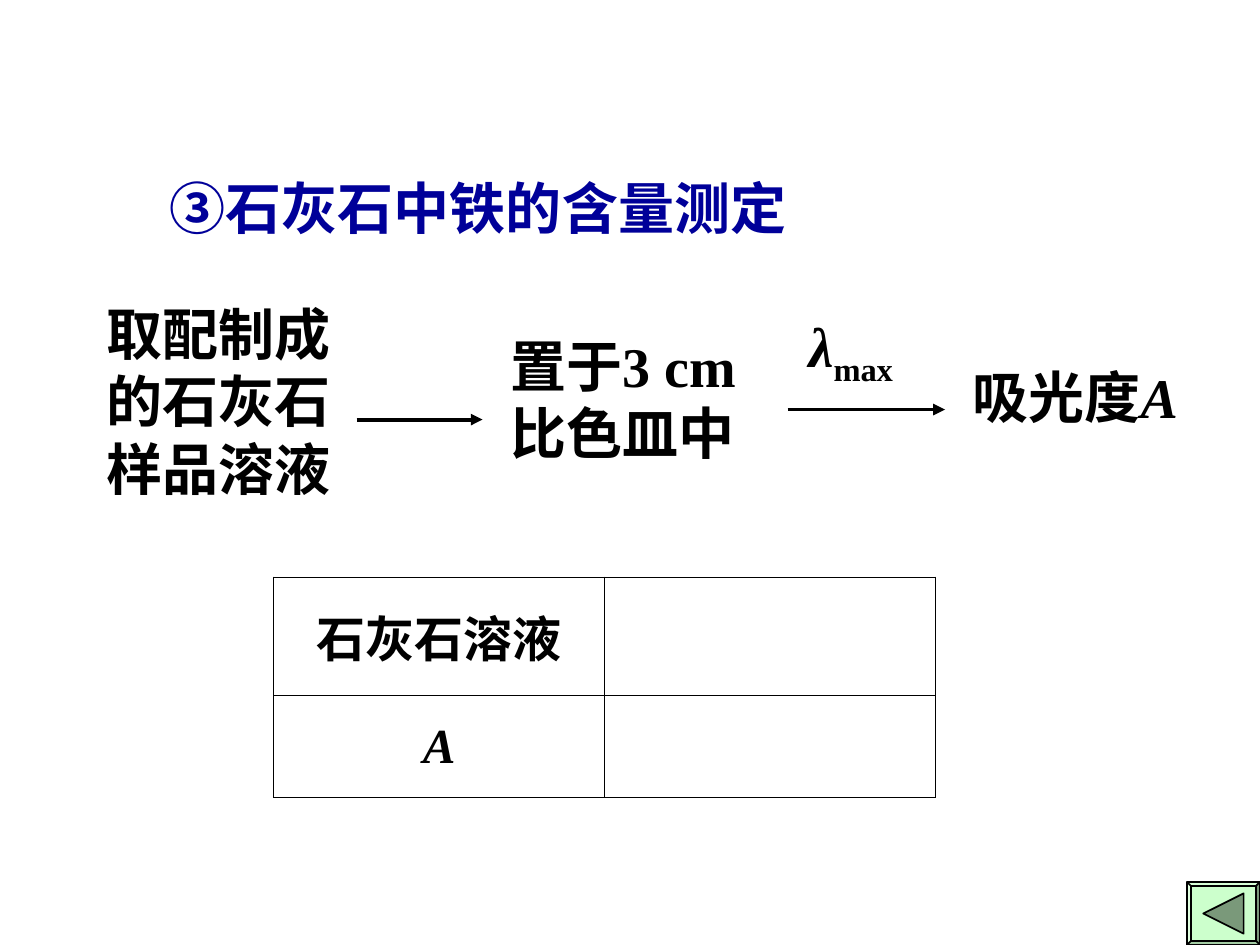
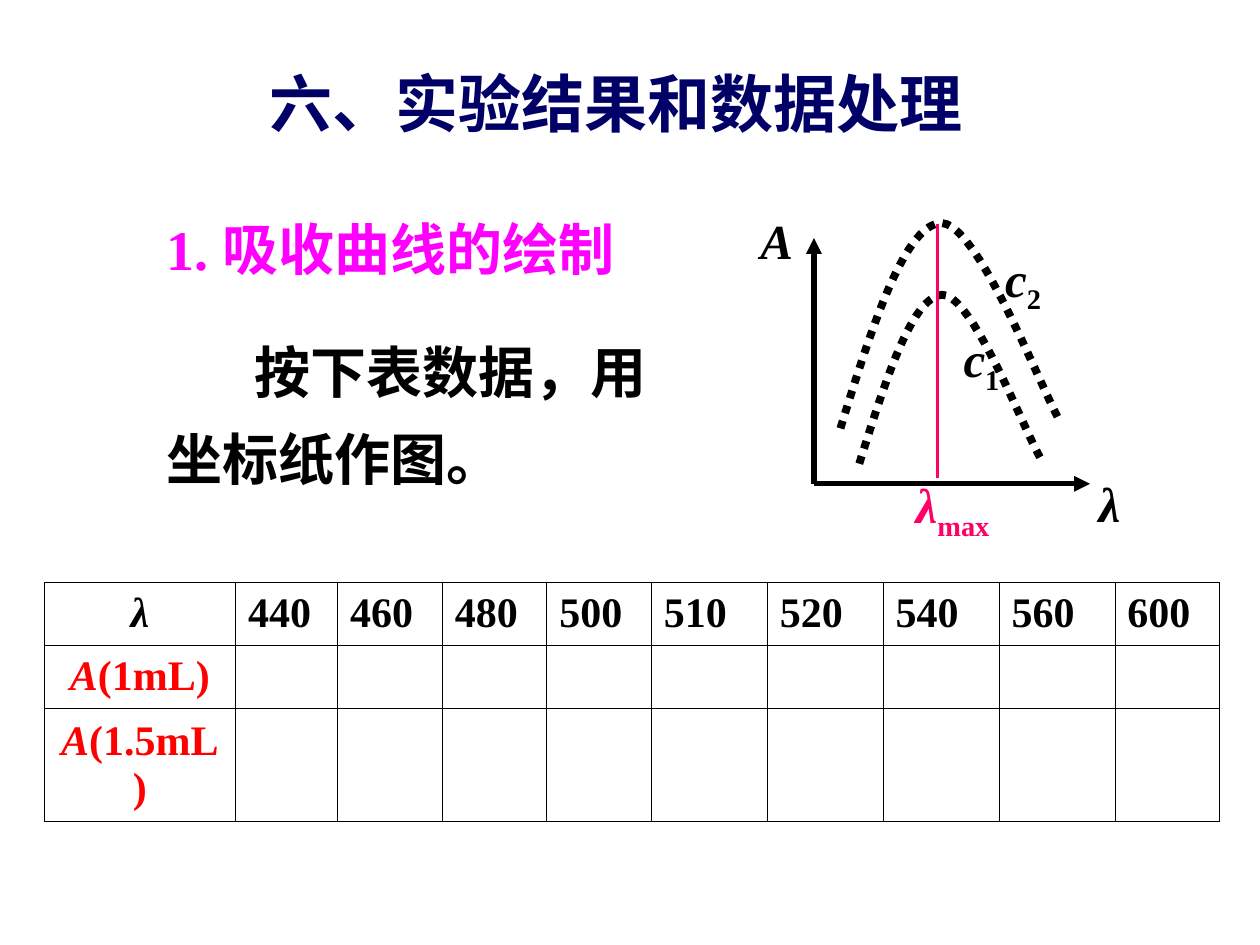
import pptx
import pptx.dml.color
import pptx.enum.dml
import pptx.enum.shapes
import pptx.enum.text
import pptx.oxml
import pptx.oxml.ns
import pptx.util

Inches = pptx.util.Inches
Pt = pptx.util.Pt
RGBColor = pptx.dml.color.RGBColor
Shape = pptx.enum.shapes.MSO_SHAPE
Anchor = pptx.enum.text.MSO_ANCHOR
CENTER = pptx.enum.text.PP_ALIGN.CENTER
qn = pptx.oxml.ns.qn

BLACK = RGBColor(0x00, 0x00, 0x00)
NAVY = RGBColor(0x00, 0x00, 0x66)
BLUE = RGBColor(0x00, 0x00, 0x99)
MAGENTA = RGBColor(0xFF, 0x00, 0xFF)
RED = RGBColor(0xFF, 0x00, 0x00)
PINK = RGBColor(0xFF, 0x00, 0x66)
PALE_GREEN = RGBColor(0xCC, 0xFF, 0xCC)
DARK_GREEN = RGBColor(0x7A, 0x99, 0x7A)
LATIN = "Times New Roman"
CJK = "Noto Sans CJK SC"

ITALIC = {"italic": True}
SUBSCRIPT = {"subscript": True}


def drawing_element(xml):
    """Parse one DrawingML element, declaring the a: prefix on it."""
    head, tail = xml.split(" ", 1)
    return pptx.oxml.parse_xml(f"{head} {pptx.oxml.ns.nsdecls('a')} {tail}")


def format_run(run, size, color, font=LATIN, italic=False, subscript=False):
    run.font.size = Pt(size)
    run.font.name = font
    run.font.bold = True
    run.font.italic = italic
    run.font.color.rgb = color
    properties = run._r.get_or_add_rPr()
    properties.find(qn("a:latin")).addnext(drawing_element(f'<a:ea typeface="{CJK}"/>'))
    if subscript:
        properties.set("baseline", "-25000")


def add_text(paragraph, text, size=32, color=BLACK, align=None, line_spacing=None,
             space_before=None, indent=None, **run_format):
    """Fill a paragraph; text is a string or a list of (string, run format) pairs."""
    if indent:
        paragraph._p.get_or_add_pPr().set("indent", str(Inches(indent)))
    paragraph.alignment = align
    paragraph.line_spacing = line_spacing
    if space_before:
        paragraph.space_before = Pt(space_before)
    for words, extra in [(text, {})] if isinstance(text, str) else text:
        run = paragraph.add_run()
        run.text = words
        format_run(run, size, color, **{**run_format, **extra})


class SlideBuilder:
    def __init__(self, presentation):
        self.presentation = presentation
        self.slide = None

    def new_slide(self):
        self.slide = self.presentation.slides.add_slide(self.presentation.slide_layouts[6])

    def text_box(self, box, *paragraphs, wrap=True, anchor=Anchor.TOP, **text_format):
        """Each paragraph is a text, or a (text, paragraph format) tuple."""
        frame = self.slide.shapes.add_textbox(*map(Inches, box)).text_frame
        frame.word_wrap = wrap
        frame.auto_size = pptx.enum.text.MSO_AUTO_SIZE.SHAPE_TO_FIT_TEXT
        frame.vertical_anchor = anchor
        for index, content in enumerate(paragraphs):
            text, extra = content if isinstance(content, tuple) else (content, {})
            paragraph = frame.add_paragraph() if index else frame.paragraphs[0]
            add_text(paragraph, text, **{**text_format, **extra})

    def title(self, box, text):
        shape = self.slide.shapes.add_shape(Shape.ROUNDED_RECTANGLE, *map(Inches, box))
        shape.shadow.inherit = False
        shape.fill.background()
        shape.line.fill.background()
        frame = shape.text_frame
        frame.word_wrap = False
        frame.vertical_anchor = Anchor.MIDDLE
        add_text(frame.paragraphs[0], text, size=36, color=NAVY, align=CENTER, font=CJK)

    def line(self, start, end, width=2.25, color=BLACK, arrow=True):
        connector = self.slide.shapes.add_connector(
            pptx.enum.shapes.MSO_CONNECTOR.STRAIGHT, *map(Inches, start + end))
        connector.line.width = Pt(width)
        connector.line.color.rgb = color
        if arrow:
            connector.line._get_or_add_ln().append(
                drawing_element('<a:tailEnd type="triangle"/>'))
        connector._element.spPr.append(drawing_element("<a:effectLst />"))

    def outline(self, points, fill=None, width=1.0, dash=None):
        """Draw a closed filled polygon, or an open line when there is no fill."""
        points = [tuple(map(Inches, point)) for point in points]
        builder = self.slide.shapes.build_freeform(*points[0])
        builder.add_line_segments(points[1:], close=fill is not None)
        shape = builder.convert_to_shape()
        self.paint(shape, fill, width)
        if dash:
            shape.line.dash_style = dash

    def paint(self, shape, fill, width):
        shape.shadow.inherit = False
        if fill is None:
            shape.fill.background()
        else:
            shape.fill.solid()
            shape.fill.fore_color.rgb = fill
        shape.line.color.rgb = BLACK
        shape.line.width = Pt(width)

    def dotted_curve(self, *segments, steps=20):
        """Draw joined cubic Bezier segments; each starts where the last one ends."""
        points = [segments[0][0]]
        start = points[0]
        for segment in segments:
            controls = (start,) + segment[-3:]
            for step in range(1, steps + 1):
                t = step / steps
                weights = ((1 - t) ** 3, 3 * t * (1 - t) ** 2, 3 * t ** 2 * (1 - t), t ** 3)
                points.append(tuple(sum(weight * control[axis] for weight, control
                                        in zip(weights, controls)) for axis in (0, 1)))
            start = segment[-1]
        self.outline(points, width=4.5, dash=pptx.enum.dml.MSO_LINE.ROUND_DOT)

    def back_button(self, box):
        bevel = self.slide.shapes.add_shape(Shape.BEVEL, *map(Inches, box))
        bevel.adjustments[0] = 0.06
        self.paint(bevel, PALE_GREEN, 1)
        self.outline([(9.55, 7.25), (9.87, 7.09), (9.87, 7.41)], fill=DARK_GREEN)

    def table(self, position, widths, heights, contents):
        """contents maps (row, column) to (text, format); other cells stay empty."""
        size = (sum(widths), sum(heights))
        table = self.slide.shapes.add_table(
            len(heights), len(widths), *map(Inches, position + size)).table
        table.first_row = table.horz_banding = False
        for column, width in zip(table.columns, widths):
            column.width = Inches(width)
        for row, height in zip(table.rows, heights):
            row.height = Inches(height)
        for cell in table.iter_cells():
            cell.vertical_anchor = Anchor.MIDDLE
            cell.fill.background()
            for index, side in enumerate("LRTB"):
                cell._tc.get_or_add_tcPr().insert(index, drawing_element(
                    f'<a:ln{side} w="{Pt(0.45)}"><a:solidFill><a:srgbClr val="{BLACK}"/>'
                    f'</a:solidFill></a:ln{side}>'))
        for (row, column), (text, text_format) in contents.items():
            add_text(table.cell(row, column).text_frame.paragraphs[0], text, **text_format)


def build_limestone_slide(builder):
    builder.new_slide()
    builder.text_box((1.25, 1.47, 5.95, 0.48), "③石灰石中铁的含量测定",
                     color=BLUE, line_spacing=0.7)
    builder.text_box((3.95, 2.58, 2.2, 1.17), "置于3 cm", "比色皿中", wrap=False)
    builder.line((6.25, 3.25), (7.5, 3.25))
    builder.text_box((6.32, 2.42, 0.87, 0.71), [("λ", ITALIC), ("max", SUBSCRIPT)], wrap=False)
    builder.text_box((7.62, 2.83, 1.94, 0.64),
                     [("吸光度", {"font": CJK}), ("A", ITALIC)], wrap=False)
    builder.text_box((0.75, 2.33, 2.25, 1.7), "取配制成的石灰石样品溶液", font=CJK)
    builder.line((2.83, 3.33), (3.83, 3.33))
    builder.back_button((9.42, 7, 0.58, 0.5))
    label = {"size": 28, "align": CENTER}
    builder.table((2.17, 4.58), [2.63, 2.62], [0.94, 0.81], {
        (0, 0): ("石灰石溶液", {**label, "font": CJK}),
        (1, 0): ("A", {**label, **ITALIC}),
    })


def build_absorption_curve(builder):
    origin = (6.46, 3.84)
    label = {"size": 28, "align": CENTER}
    builder.line(origin, (8.65, 3.84), width=3)
    builder.line(origin, (6.46, 1.89), width=3)
    builder.dotted_curve(((6.82, 3.68), (7.03, 3.01), (7.24, 2.35), (7.48, 2.34)),
                         ((7.72, 2.34), (8.13, 3.42), (8.26, 3.64)))
    builder.dotted_curve(((6.67, 3.4), (6.92, 2.59), (7.18, 1.78), (7.47, 1.77)),
                         ((7.76, 1.77), (8.26, 3.08), (8.42, 3.36)))
    for left, top, number in ((7.51, 2.56, "1"), (7.84, 1.92, "2")):
        builder.text_box((left, top, 0.56, 0.63), [("c", ITALIC), (number, SUBSCRIPT)],
                         anchor=Anchor.MIDDLE, **label)
    builder.text_box((8.35, 3.71, 0.91, 0.57), "λ", italic=True, **label)
    builder.text_box((5.71, 1.62, 0.91, 0.57), "A", italic=True, **label)
    builder.line((7.44, 1.78), (7.44, 3.79), width=2, color=PINK, arrow=False)
    builder.text_box((6.89, 3.72, 1.34, 0.63), [("λ", ITALIC), ("max", SUBSCRIPT)],
                     color=PINK, **label)


def build_results_slide(builder):
    builder.new_slide()
    builder.text_box((1.22, 1.55, 4.38, 2.41),
                     ("1. 吸收曲线的绘制", {"color": MAGENTA, "line_spacing": 1.2}),
                     ("按下表数据，用坐标纸作图。",
                      {"line_spacing": 1.3, "space_before": 20, "indent": 0.7}))
    builder.title((1.93, 0.44, 5.92, 0.75), "六、实验结果和数据处理")

    wavelengths = [440, 460, 480, 500, 510, 520, 540, 560, 600]
    label = {"size": 24, "align": CENTER}
    contents = {(0, 0): ("λ", {**label, **ITALIC})}
    for column, wavelength in enumerate(wavelengths, start=1):
        contents[0, column] = (str(wavelength), {"size": 24})
    for row, volume in enumerate(("(1mL)", "(1.5mL)"), start=1):
        contents[row, 0] = ([("A", ITALIC), (volume, {})], {**label, "color": RED})
    widths = [1.52, 0.81] + [0.83] * 3 + [0.92] * 4 + [0.83]
    builder.table((0.35, 4.62), widths, [0.5, 0.5, 0.9], contents)
    build_absorption_curve(builder)


def main():
    presentation = pptx.Presentation()
    presentation.slide_width = Inches(10)
    presentation.slide_height = Inches(7.5)
    builder = SlideBuilder(presentation)
    build_limestone_slide(builder)
    build_results_slide(builder)
    presentation.save("out.pptx")


if __name__ == "__main__":
    main()
